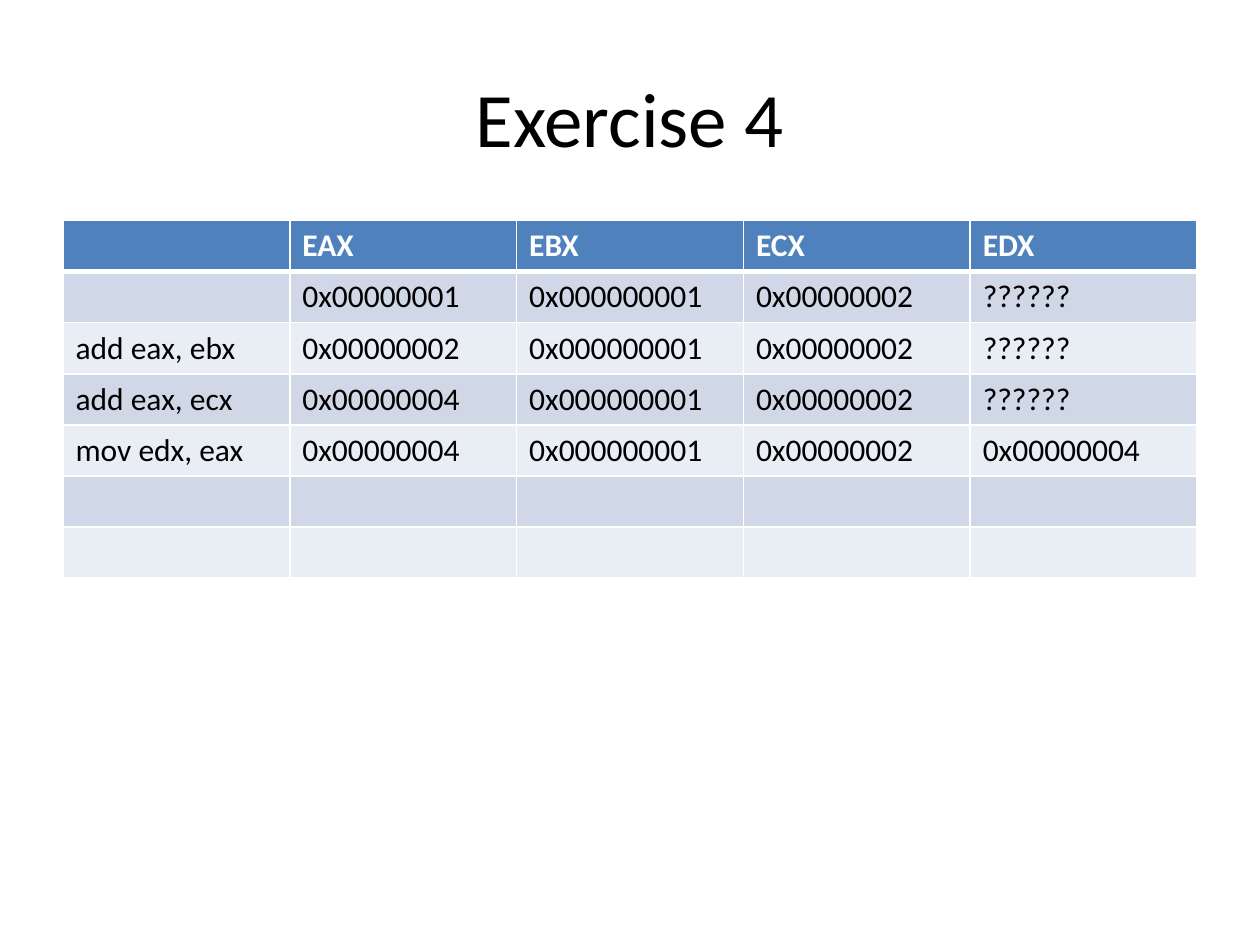
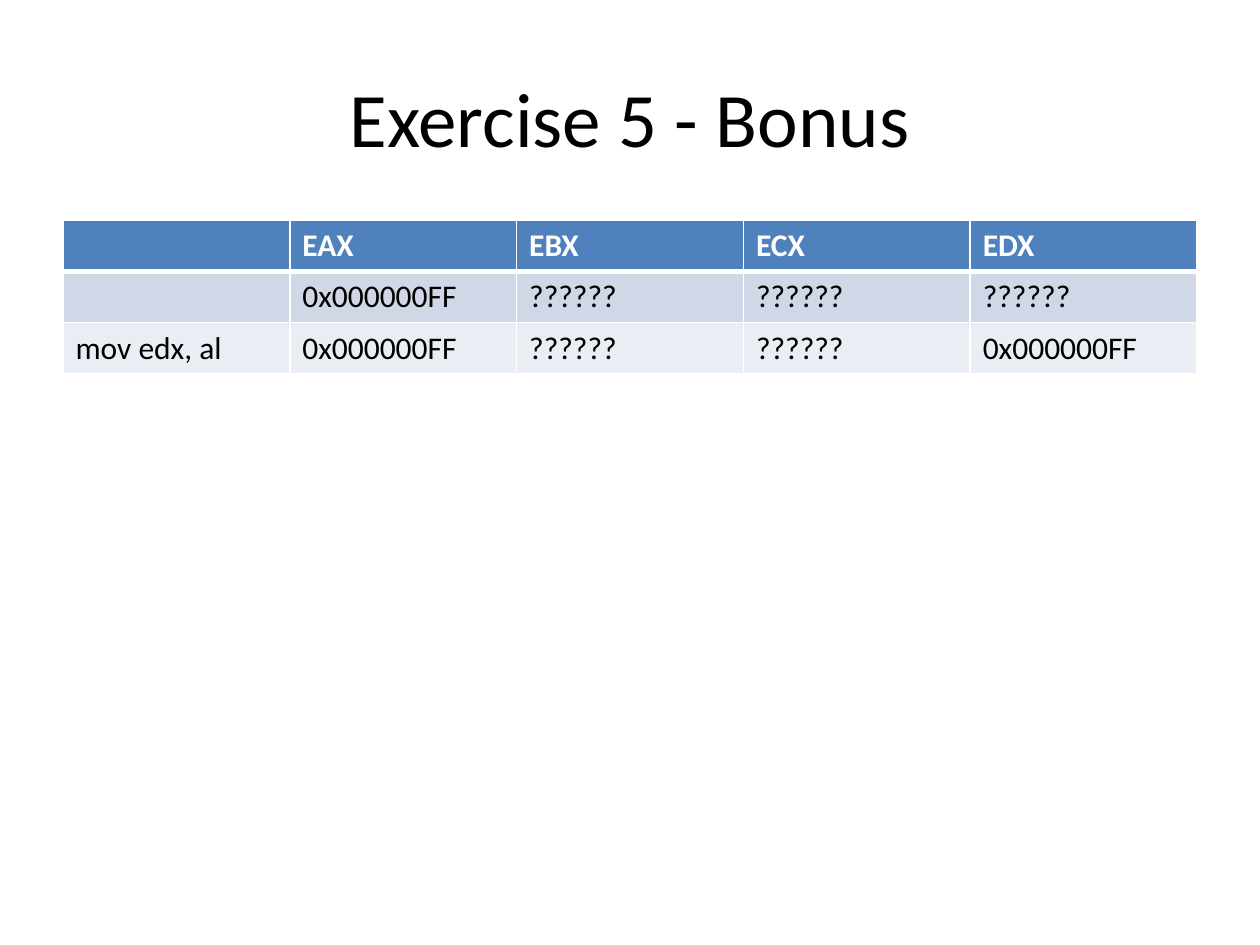
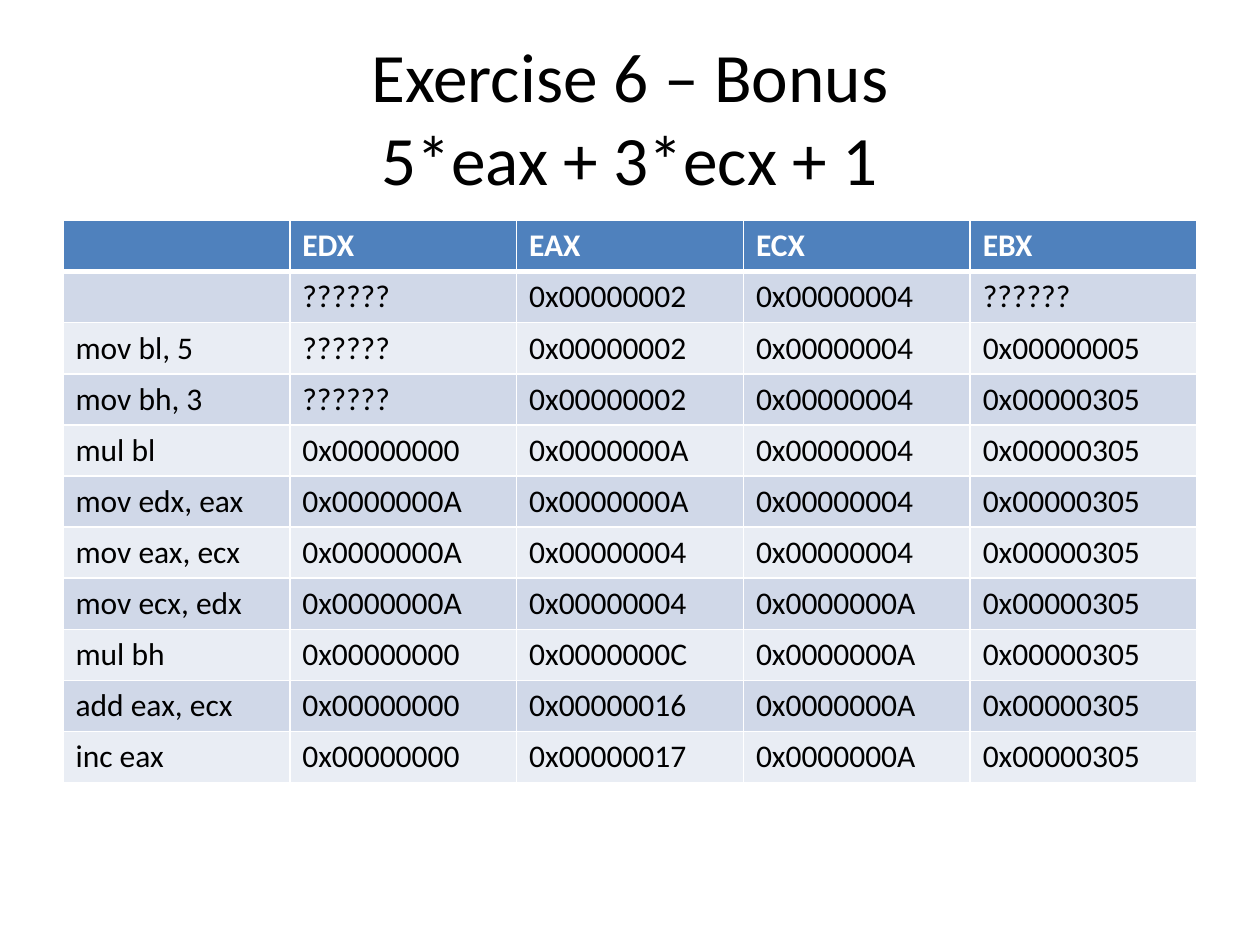
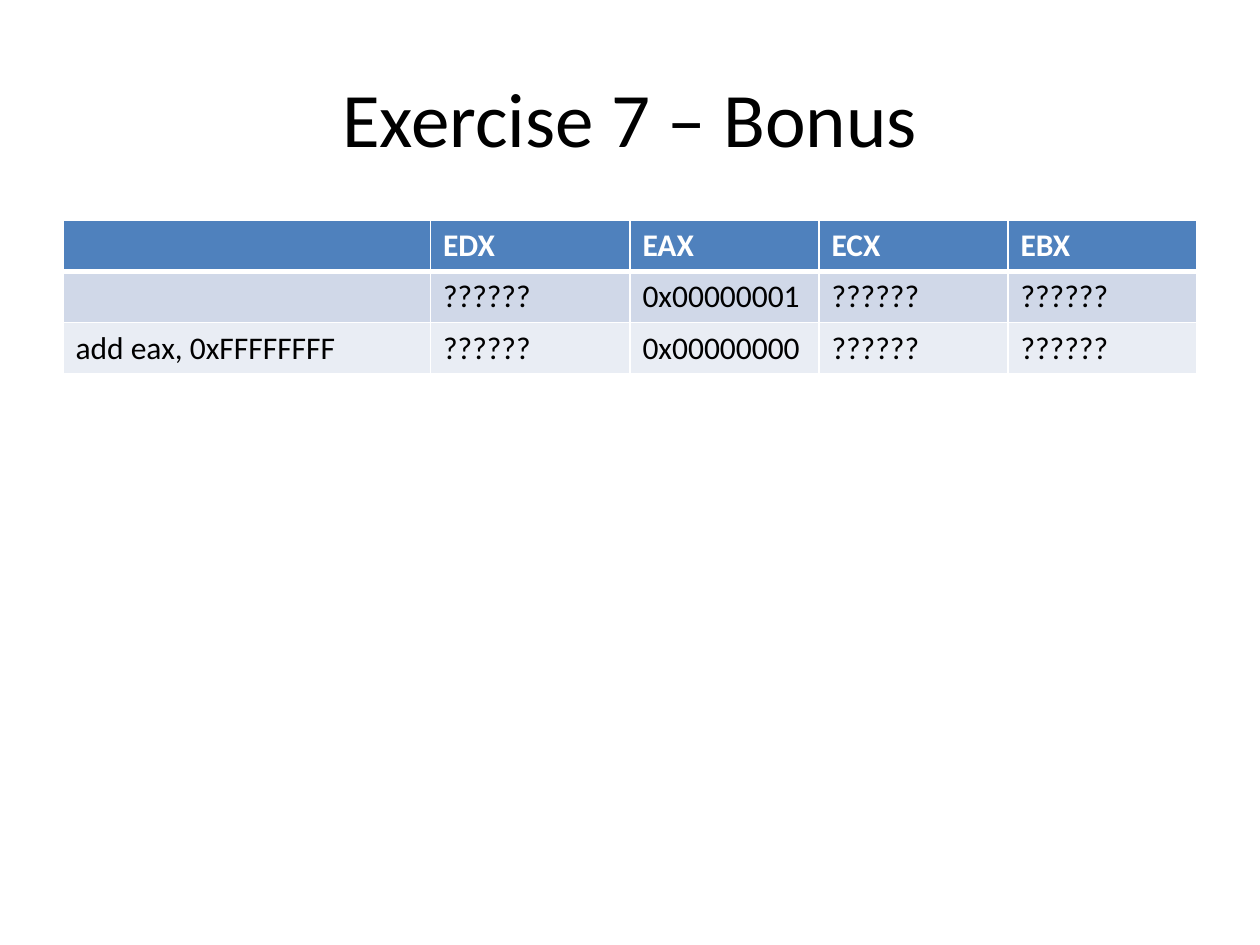
from copy import deepcopy
from pptx import Presentation
from pptx.dml.color import RGBColor
from pptx.enum.text import MSO_ANCHOR, MSO_AUTO_SIZE, PP_ALIGN
from pptx.oxml.ns import qn
from pptx.oxml.xmlchemy import OxmlElement
from pptx.util import Pt

MID, CENTER, LEFT = MSO_ANCHOR.MIDDLE, PP_ALIGN.CENTER, PP_ALIGN.LEFT
FIXED = MSO_AUTO_SIZE.NONE

FONT = "Calibri"
BLACK, WHITE = "000000", "FFFFFF"
HEAD, BANDS = "4F81BD", ("D0D8E8", "E9EDF4")
EDGE, WIDE, ROW = 36, 648, 29.2
EVEN = [WIDE / 5] * 5
NONE = "??????"

SLIDES = [
    {
        "title": "Exercise 4", "size": 44, "cols": EVEN,
        "rows": [
            ("", "EAX", "EBX", "ECX", "EDX"),
            ("", "0x00000001", "0x000000001", "0x00000002", NONE),
            ("add eax, ebx", "0x00000002", "0x000000001", "0x00000002", NONE),
            ("add eax, ecx", "0x00000004", "0x000000001", "0x00000002", NONE),
            ("mov edx, eax", "0x00000004", "0x000000001", "0x00000002",
             "0x00000004"),
            ("",) * 5,
            ("",) * 5,
        ],
    },
    {
        "title": "Exercise 5 - Bonus", "size": 44, "cols": EVEN,
        "rows": [
            ("", "EAX", "EBX", "ECX", "EDX"),
            ("", "0x000000FF", NONE, NONE, NONE),
            ("mov edx, al", "0x000000FF", NONE, NONE, "0x000000FF"),
        ],
    },
    {
        "title": "Exercise 6 – Bonus\v5*eax + 3*ecx + 1", "size": 39.6,
        "cols": EVEN,
        "rows": [
            ("", "EDX", "EAX", "ECX", "EBX"),
            ("", NONE, "0x00000002", "0x00000004", NONE),
            ("mov bl, 5", NONE, "0x00000002", "0x00000004", "0x00000005"),
            ("mov bh, 3", NONE, "0x00000002", "0x00000004", "0x00000305"),
            ("mul bl", "0x00000000", "0x0000000A", "0x00000004", "0x00000305"),
            ("mov edx, eax", "0x0000000A", "0x0000000A", "0x00000004",
             "0x00000305"),
            ("mov eax, ecx", "0x0000000A", "0x00000004", "0x00000004",
             "0x00000305"),
            ("mov ecx, edx", "0x0000000A", "0x00000004", "0x0000000A",
             "0x00000305"),
            ("mul bh", "0x00000000", "0x0000000C", "0x0000000A", "0x00000305"),
            ("add eax, ecx", "0x00000000", "0x00000016", "0x0000000A",
             "0x00000305"),
            ("inc eax", "0x00000000", "0x00000017", "0x0000000A",
             "0x00000305"),
        ],
    },
    {
        "title": "Exercise 7 – Bonus", "size": 44,
        "cols": [210, 114, 108, 108, 108],
        "rows": [
            ("", "EDX", "EAX", "ECX", "EBX"),
            ("", NONE, "0x00000001", NONE, NONE),
            ("add eax, 0xFFFFFFFF", NONE, "0x00000000", NONE, NONE),
        ],
    },
]


def paint(fill, tone):
    fill.solid()
    fill.fore_color.rgb = RGBColor.from_string(tone)


def write(frame, text, size=18, tone=BLACK, bold=False, align=LEFT):
    para = frame.paragraphs[0]
    para.text = text
    para.alignment = align
    for run in para.runs:
        run.font.name = FONT
        run.font.size = Pt(size)
        run.font.bold = bold
        paint(run.font.fill, tone)
    for gap in para._p.findall(qn("a:br")):
        gap.append(deepcopy(para.runs[0]._r.rPr))


def border(cell, top, base):
    props = cell._tc.get_or_add_tcPr()
    for side, width in (("L", 1), ("R", 1), ("T", top), ("B", base)):
        line = OxmlElement("a:ln" + side)
        line.set("w", str(Pt(width)))
        fill = OxmlElement("a:solidFill")
        tone = OxmlElement("a:srgbClr")
        tone.set("val", WHITE)
        fill.append(tone)
        line.append(fill)
        props.append(line)


def grid(slide, rows, cols):
    table = slide.shapes.add_table(
        len(rows), len(cols), Pt(EDGE), Pt(126), Pt(WIDE),
        Pt(ROW * len(rows))).table
    for col, width in zip(table.columns, cols):
        col.width = Pt(width)
    for r, row in enumerate(rows):
        table.rows[r].height = Pt(ROW)
        first = r == 0
        for c, text in enumerate(row):
            cell = table.cell(r, c)
            border(cell, 3 if r == 1 else 1, 3 if first else 1)
            paint(cell.fill, HEAD if first else BANDS[(r - 1) % 2])
            if text:
                write(cell.text_frame, text, bold=first,
                      tone=WHITE if first else BLACK)


def head(slide, text, size):
    title = slide.shapes.title
    title.left, title.top = Pt(EDGE), Pt(21.6)
    title.width, title.height = Pt(WIDE), Pt(90)
    frame = title.text_frame
    frame.word_wrap = True
    frame.auto_size = FIXED
    frame.vertical_anchor = MID
    write(frame, text, size=size, align=CENTER)


deck = Presentation()
deck.slide_width, deck.slide_height = Pt(720), Pt(540)
for item in SLIDES:
    slide = deck.slides.add_slide(deck.slide_layouts[5])
    paint(slide.background.fill, WHITE)
    head(slide, item["title"], item["size"])
    grid(slide, item["rows"], item["cols"])
deck.save("out.pptx")
